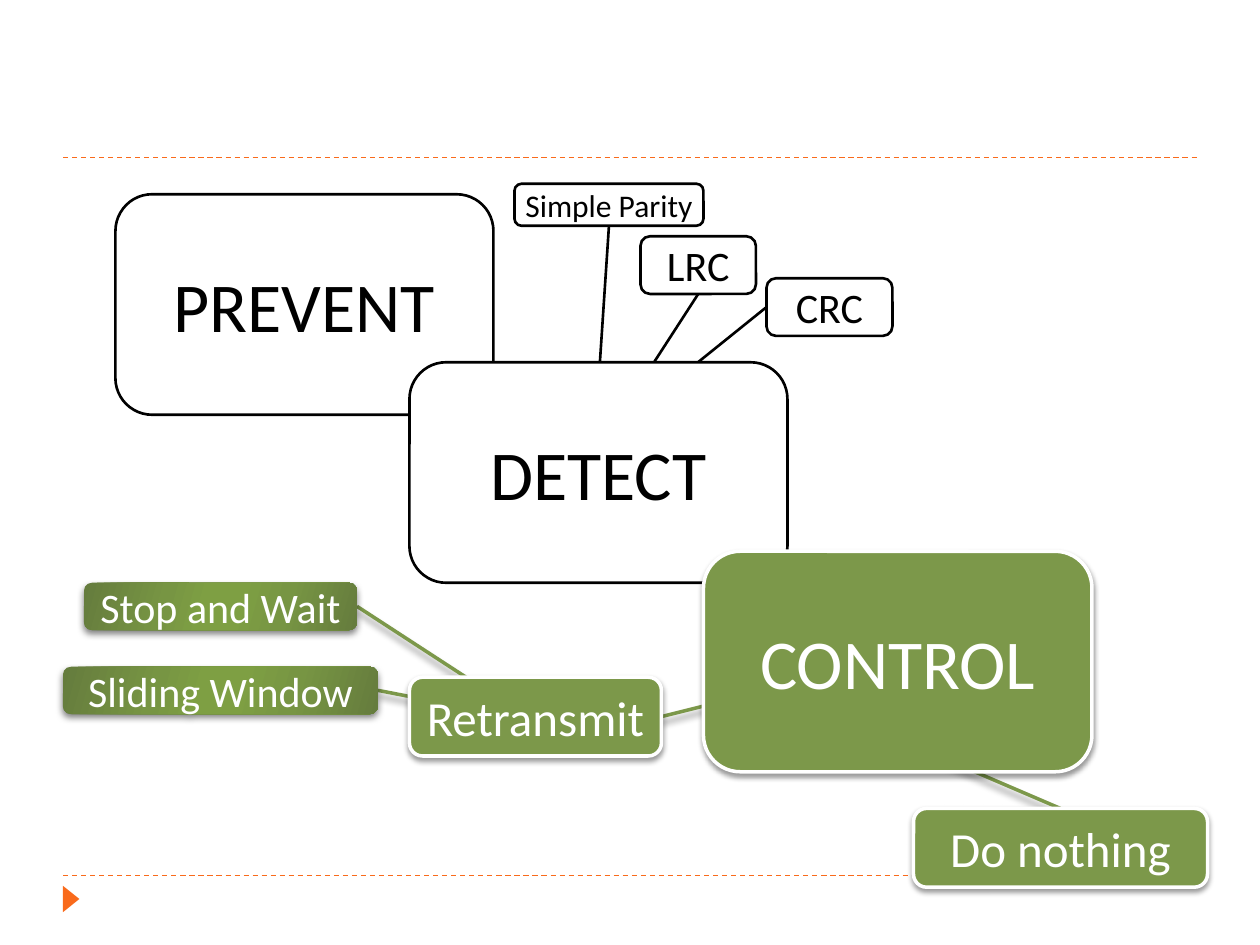
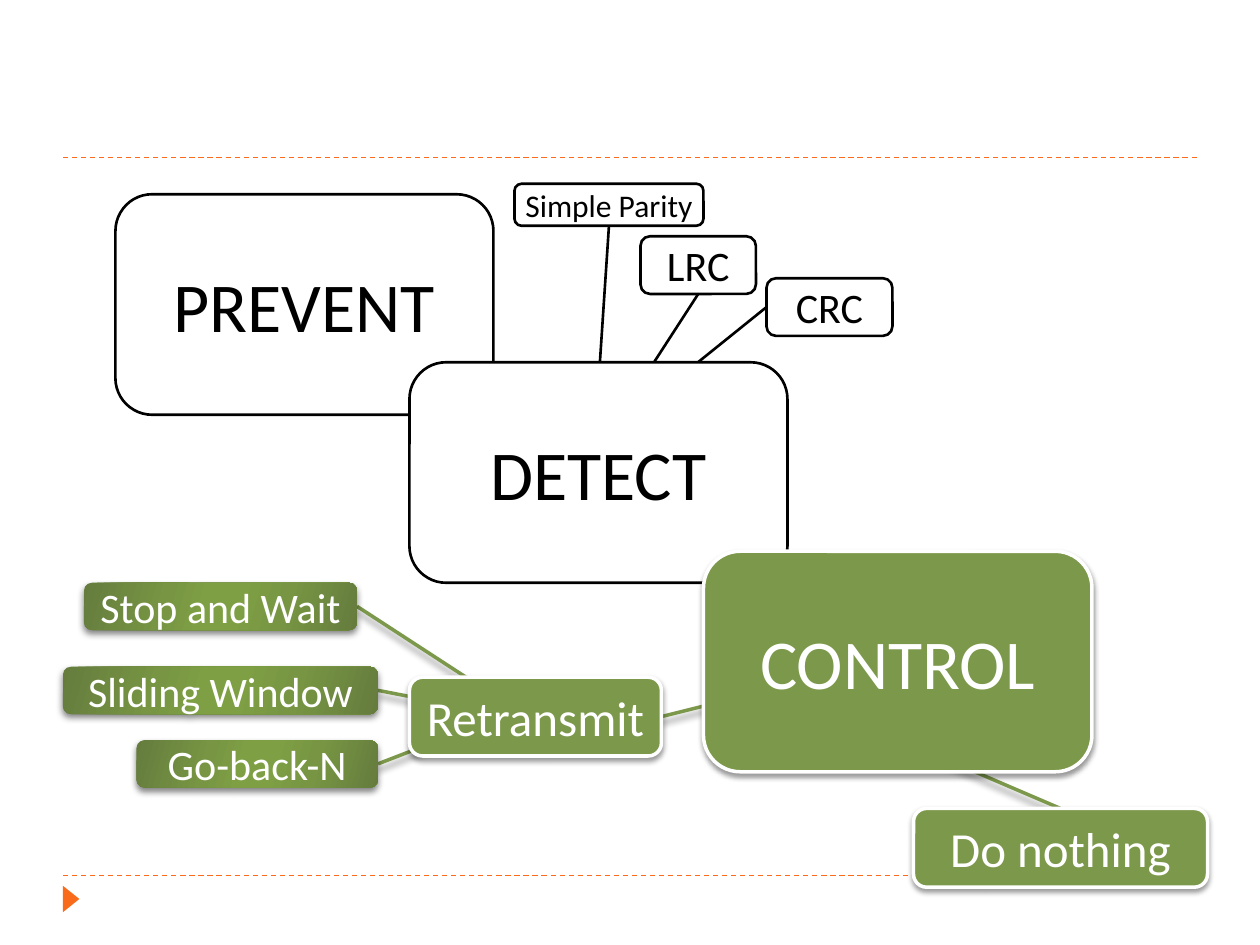
"""Builds two slides that map error prevention, detection and control."""
from dataclasses import dataclass

from lxml import etree
from pptx import Presentation
from pptx.dml.color import RGBColor
from pptx.enum import dml, shapes, text
from pptx.oxml import ns
from pptx.util import Pt

WHITE = RGBColor(0xFF, 0xFF, 0xFF)
BLACK = RGBColor(0x00, 0x00, 0x00)
ORANGE = RGBColor(0xF9, 0x6A, 0x1B)
GREEN = RGBColor(0x7C, 0x98, 0x4A)
GREEN_DARK = RGBColor(0x65, 0x7C, 0x3D)
GREEN_MID = RGBColor(0x77, 0x95, 0x43)
GREEN_LIGHT = RGBColor(0x7E, 0x9F, 0x43)

FONT = "Calibri"
GRADIENT_STOPS = [(0, GREEN_DARK), (30, GREEN_MID), (45, GREEN_LIGHT),
                  (55, GREEN_LIGHT), (73, GREEN_MID), (100, GREEN_DARK)]
GRADIENT_ANGLE = 344
TOP, LEFT, BOTTOM, RIGHT = range(4)


@dataclass
class Look:
    fill: RGBColor | None
    line: RGBColor | None
    width: float
    ink: RGBColor
    shadow: tuple | None = None


OUTLINED = Look(WHITE, BLACK, 1.5, BLACK)
SOLID = Look(GREEN, WHITE, 2, WHITE, (40, 3, 2))
GLOSSY = Look(None, None, 0, WHITE, (50, 4, 2))
GREEN_LINE = Look(None, GREEN, 2, WHITE, (40, 4, 3.4))

BOXES = [
    ("PREVENT", (66, 111, 216, 126), 40, OUTLINED),
    ("DETECT", (234, 207, 216, 126), 40, OUTLINED),
    ("CONTROL", (402, 315, 222, 126), 40, SOLID),
    ("LRC", (366, 135, 66, 33), 24, OUTLINED),
    ("Simple Parity", (294, 105, 108, 24), 18, OUTLINED),
    ("CRC", (438, 159, 72, 33), 24, OUTLINED),
    ("Retransmit", (234, 387, 144, 45), 28, SOLID),
    ("Go-back-N", (78, 423, 138, 27), 24, GLOSSY),
    ("Sliding Window", (36, 381, 180, 27), 24, GLOSSY),
    ("Stop and Wait", (48, 333, 156, 27), 24, GLOSSY),
    ("Do nothing", (522, 462, 168, 45), 28, SOLID),
]
LINKS = [
    ("Do nothing", TOP, (522, 426), GREEN_LINE),
    ("Retransmit", RIGHT, (444, 393), GREEN_LINE),
    ("Stop and Wait", RIGHT, (294, 405), GREEN_LINE),
    ("Sliding Window", RIGHT, (270, 405), GREEN_LINE),
    ("Go-back-N", RIGHT, (282, 411), GREEN_LINE),
    ("LRC", BOTTOM, (366, 219), OUTLINED),
    ("Simple Parity", BOTTOM, (342, 219), OUTLINED),
    ("CRC", LEFT, (384, 219), OUTLINED),
]


class Deck:
    def __init__(self):
        self.presentation = Presentation()
        self.presentation.slide_width = Pt(720)
        self.presentation.slide_height = Pt(540)
        self.slide = None

    def add_slide(self):
        self.slide = self.presentation.slides.add_slide(self.presentation.slide_layouts[6])
        for y in (500.4, 90):
            rule = self.line((36, y), (684, y), Look(None, ORANGE, 0.75, BLACK))
            rule.line.dash_style = dml.MSO_LINE.DASH
        marker = self.shape(shapes.MSO_SHAPE.ISOSCELES_TRIANGLE, (33.1, 509, 15.1, 9.4),
                            Look(ORANGE, None, 0, WHITE))
        marker.rotation = 90

    def effects(self, shape, shadow):
        properties = shape.element.spPr
        effect_list = etree.SubElement(properties, ns.qn("a:effectLst"))
        if shadow:
            alpha, blur, distance = shadow
            outer = etree.SubElement(effect_list, ns.qn("a:outerShdw"), blurRad=str(Pt(blur)),
                                     dist=str(Pt(distance)), dir="5400000", rotWithShape="0")
            color = etree.SubElement(outer, ns.qn("a:srgbClr"), val=str(BLACK))
            etree.SubElement(color, ns.qn("a:alpha"), val=str(alpha * 1000))

    def gradient(self, shape):
        shape.fill.gradient()
        shape.fill.gradient_angle = GRADIENT_ANGLE
        stop_list = shape.element.spPr.find(".//" + ns.qn("a:gsLst"))
        stop_list[:] = []
        for position, color in GRADIENT_STOPS:
            stop = etree.SubElement(stop_list, ns.qn("a:gs"), pos=str(position * 1000))
            etree.SubElement(stop, ns.qn("a:srgbClr"), val=str(color))

    def shape(self, kind, frame, look):
        shape = self.slide.shapes.add_shape(kind, *map(Pt, frame))
        if look.fill is None:
            self.gradient(shape)
        else:
            shape.fill.solid()
            shape.fill.fore_color.rgb = look.fill
        if look.line is None:
            shape.line.fill.background()
        else:
            shape.line.color.rgb = look.line
            shape.line.width = Pt(look.width)
        self.effects(shape, look.shadow)
        return shape

    def box(self, label, frame, size, look):
        shape = self.shape(shapes.MSO_SHAPE.ROUNDED_RECTANGLE, frame, look)
        text_frame = shape.text_frame
        text_frame.vertical_anchor = text.MSO_ANCHOR.MIDDLE
        if size == 18:
            for side in ("left", "top", "right", "bottom"):
                setattr(text_frame, f"margin_{side}", 0)
        paragraph = text_frame.paragraphs[0]
        paragraph.alignment = text.PP_ALIGN.CENTER
        run = paragraph.add_run()
        run.text = label
        for name, value in {"name": FONT, "size": Pt(size)}.items():
            setattr(run.font, name, value)
        run.font.color.rgb = look.ink
        return shape

    def line(self, start, end, look):
        connector = self.slide.shapes.add_connector(
            shapes.MSO_CONNECTOR.STRAIGHT, *map(Pt, start + end))
        connector.line.color.rgb = look.line
        connector.line.width = Pt(look.width)
        self.effects(connector, look.shadow)
        return connector

    def link(self, box, side, end, look, behind):
        connector = self.line(end, end, look)
        connector.begin_connect(box, side)
        behind.element.addprevious(connector.element)

    def error_map(self, omitted=()):
        self.add_slide()
        boxes = {label: self.box(label, *rest) for label, *rest in BOXES if label not in omitted}
        for label, side, end, look in LINKS:
            if label in boxes:
                self.link(boxes[label], side, end, look, boxes["PREVENT"])


def main():
    deck = Deck()
    deck.error_map(omitted=("Go-back-N",))
    deck.error_map()
    deck.presentation.save("out.pptx")


if __name__ == "__main__":
    main()
